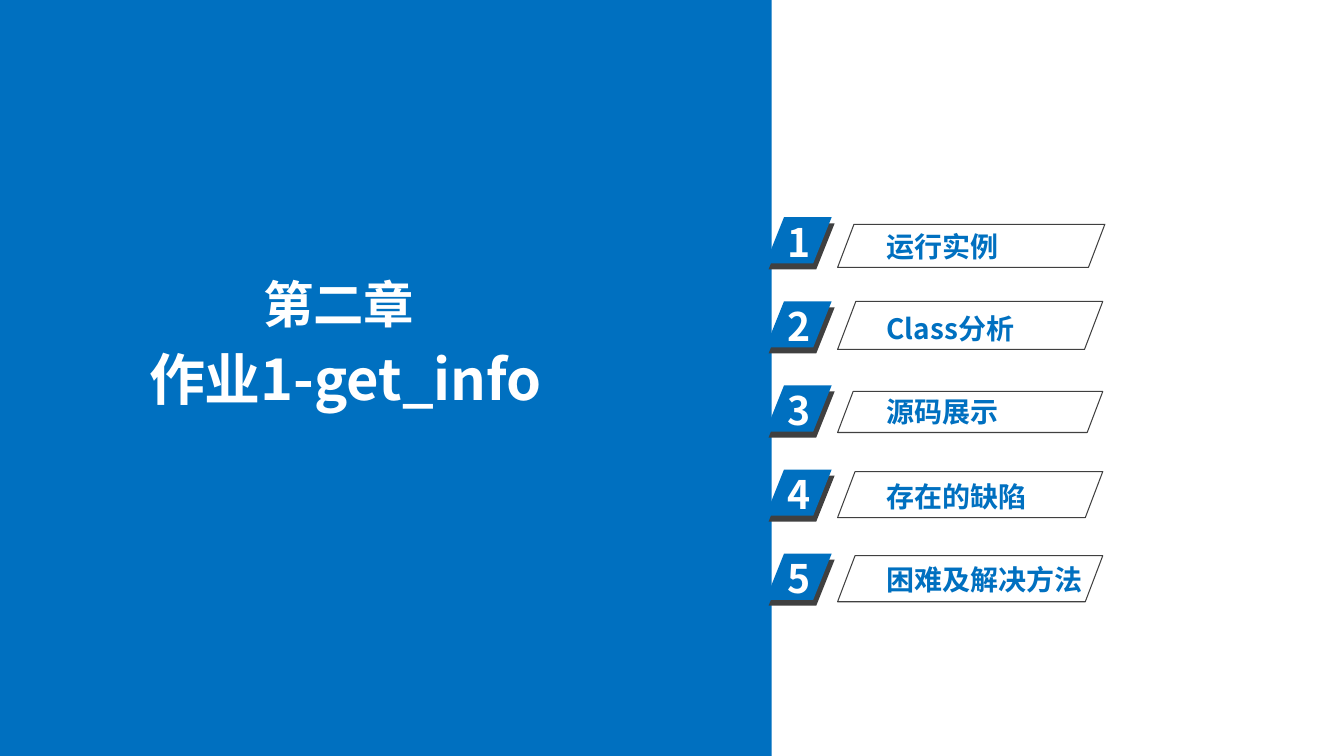
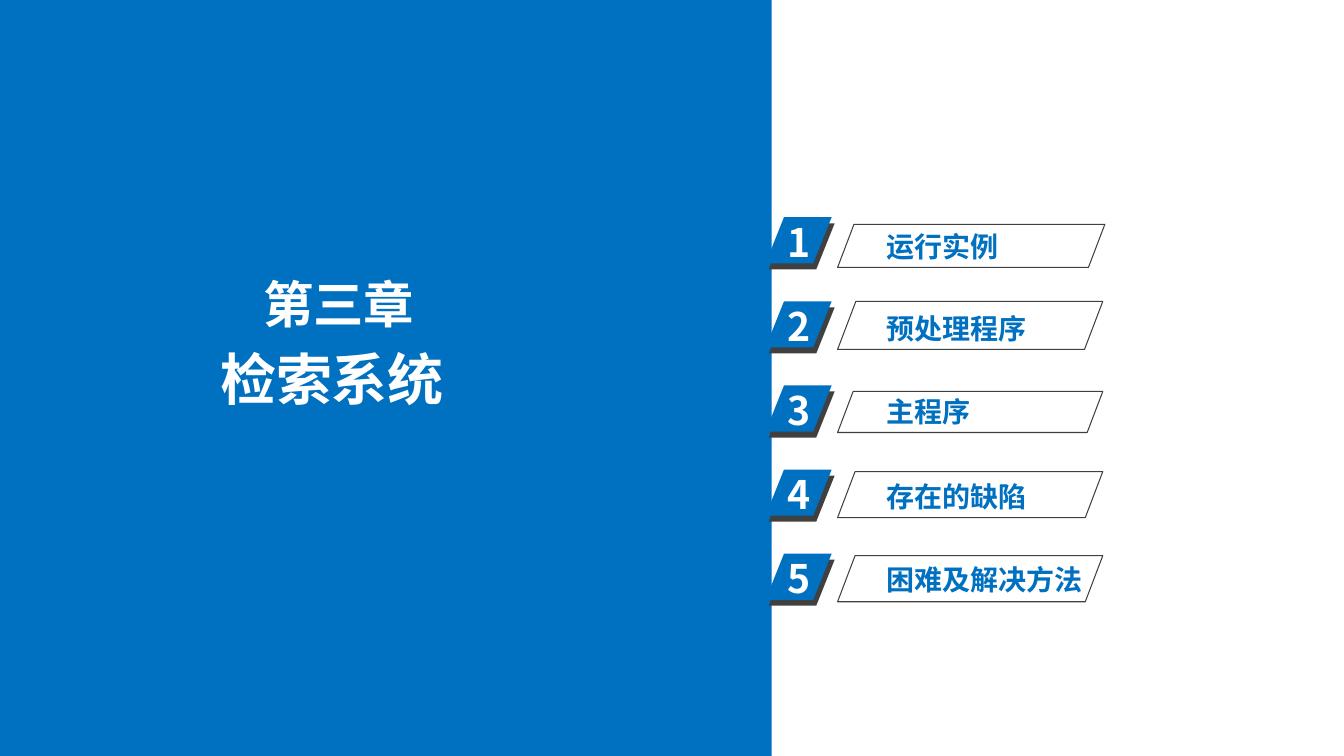
from lxml.etree import SubElement
from pptx import Presentation
from pptx.dml.color import RGBColor
from pptx.enum.shapes import MSO_SHAPE as Shape
from pptx.enum.text import MSO_AUTO_SIZE as AutoSize
from pptx.oxml.ns import qn
from pptx.util import Pt

# Shared style: 100.7 px to the inch
PX = 914400 / 100.7
SLIDE_WIDTH, SLIDE_HEIGHT = 1343, 755
BLUE = RGBColor(0x00, 0x70, 0xC0)
DARK = RGBColor(0x40, 0x40, 0x40)
WHITE = RGBColor(0xFF, 0xFF, 0xFF)
FONT = "Noto Sans CJK SC"

# Agenda rows
BADGE_TOP, BADGE_PITCH = 217, 84
# Frame top, width and height, then label top
ROWS = [
    (224, 267, 43, 224),
    (301, 265, 48, 306),
    (391, 265, 41, 389),
    (471, 265, 46, 474),
    (555, 265, 46, 557),
]

# Chapter, title, left edge of the title, agenda
CHAPTERS = [
    ("第二章", "作业1-get_info", 139,
     ["运行实例", "Class分析", "源码展示", "存在的缺陷", "困难及解决方法"]),
    ("第三章", "检索系统", 210,
     ["运行实例", "预处理程序", "主程序", "存在的缺陷", "困难及解决方法"]),
]


def add_panel(shapes, kind, box, fill=None, line=None, slant=None):
    shape = shapes.add_shape(kind, *[round(length * PX) for length in box])
    shape.shadow.inherit = False
    if slant is not None:
        shape.adjustments[0] = slant
    if fill is None:
        shape.fill.background()
    else:
        shape.fill.solid()
        shape.fill.fore_color.rgb = fill
    if line is None:
        shape.line.fill.background()
    else:
        shape.line.color.rgb = line
        shape.line.width = Pt(0.75)


def add_text(shapes, text, box, size, color):
    text_frame = shapes.add_textbox(*[round(length * PX) for length in box]).text_frame
    text_frame.word_wrap = True
    text_frame.auto_size = AutoSize.SHAPE_TO_FIT_TEXT
    text_frame.text = text
    font = text_frame.paragraphs[0].runs[0].font
    font.size = Pt(size)
    font.bold = True
    font.color.rgb = color
    font.name = FONT
    SubElement(font._element, qn("a:ea"), typeface=FONT)


presentation = Presentation()
presentation.slide_width = round(SLIDE_WIDTH * PX)
presentation.slide_height = round(SLIDE_HEIGHT * PX)

for chapter, title, title_left, agenda in CHAPTERS:
    slide = presentation.slides.add_slide(presentation.slide_layouts[6])
    shapes = slide.shapes

    # Blue side with the chapter title
    add_panel(shapes, Shape.RECTANGLE, (0, 0, 771, SLIDE_HEIGHT), fill=BLUE)
    add_text(shapes, chapter, (253, 268, 182, 70), 36, WHITE)
    add_text(shapes, title, (title_left, 339, 436, 77), 40, WHITE)

    # Number badges
    for index in range(len(agenda)):
        top = BADGE_TOP + index * BADGE_PITCH
        badge = slide.shapes.add_group_shape().shapes
        add_panel(badge, Shape.PARALLELOGRAM, (768, top + 6, 66, 46), fill=DARK, slant=0.4)
        add_panel(badge, Shape.PARALLELOGRAM, (765, top, 66, 46), fill=BLUE, slant=0.4)
        add_text(badge, str(index + 1), (777, top - 4, 69, 57), 28, WHITE)

    # Framed agenda labels
    for label, (top, width, height, label_top) in zip(agenda, ROWS):
        add_panel(shapes, Shape.PARALLELOGRAM, (837, top, width, height), line=DARK, slant=0.38)
        add_text(shapes, label, (876, label_top, 305, 44), 20, BLUE)

presentation.save("out.pptx")
